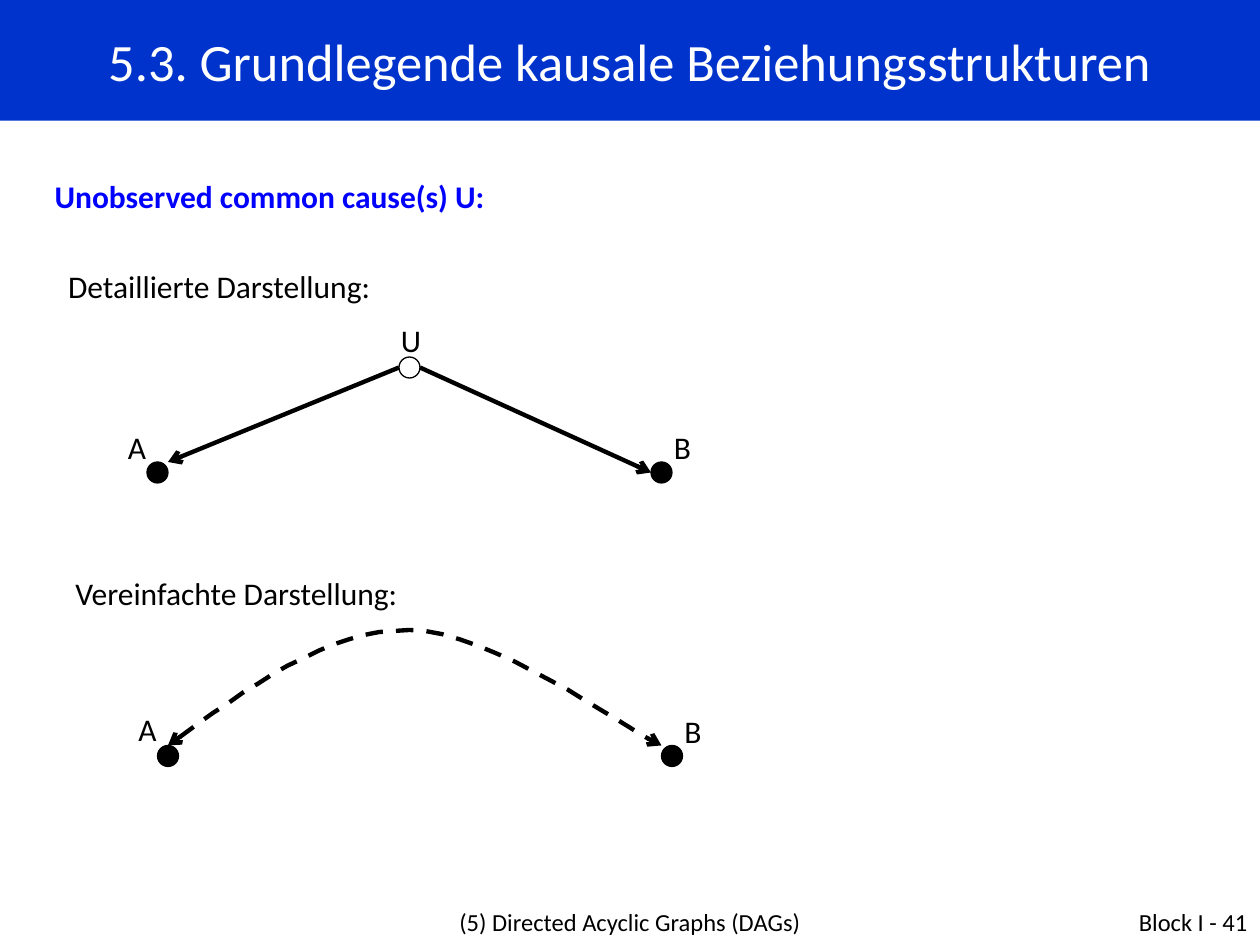
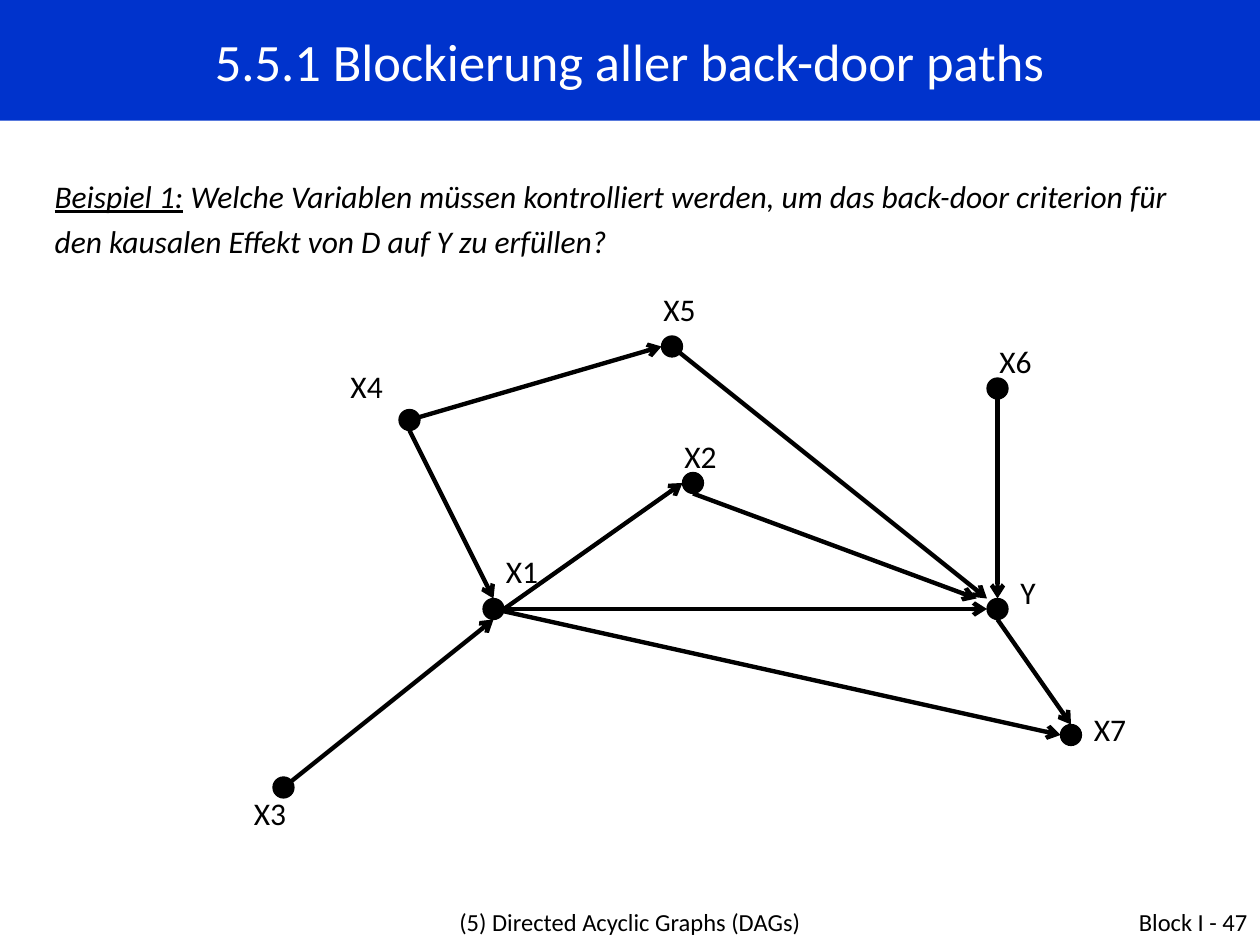
from lxml import etree
from pptx import Presentation
from pptx.dml.color import RGBColor
from pptx.enum.dml import MSO_LINE
from pptx.enum.shapes import MSO_CONNECTOR, MSO_SHAPE
from pptx.enum.text import MSO_ANCHOR, MSO_AUTO_SIZE, PP_ALIGN
from pptx.oxml.ns import qn
from pptx.util import Pt

PX = 7620
WIDTH, HEIGHT = 1200, 900
BAND_HEIGHT = 115
RADIUS = 10
CURVE_STEPS = 16

FONT = "Calibri"
BLACK, WHITE, BAND_BLUE, LEAD_BLUE = "000000", "FFFFFF", "0033CC", "0000FF"
TITLE_SIZE, BODY_SIZE, FOOTER_SIZE = 30, 18, 14
COURSE = "(5) Directed Acyclic Graphs (DAGs)"

LEFT, CENTER, RIGHT = PP_ALIGN.LEFT, PP_ALIGN.CENTER, PP_ALIGN.RIGHT
TOP, MIDDLE = MSO_ANCHOR.TOP, MSO_ANCHOR.MIDDLE
NO_AUTOSIZE = MSO_AUTO_SIZE.NONE
STRAIGHT, OVAL, DASH = MSO_CONNECTOR.STRAIGHT, MSO_SHAPE.OVAL, MSO_LINE.DASH


def color(value):
    return RGBColor.from_string(value)


def px(*lengths):
    return [length * PX for length in lengths]


def place(shape, left, top, width, height):
    shape.left, shape.top, shape.width, shape.height = px(left, top, width, height)


def write(shape, spans, size, align=LEFT, anchor=TOP):
    frame = shape.text_frame
    frame.word_wrap = True
    frame.auto_size = NO_AUTOSIZE
    frame.vertical_anchor = anchor
    para = frame.paragraphs[0]
    para.alignment = align
    para.space_before = Pt(0)
    for text, style in spans:
        span = para.add_run()
        span.text = text
        font = span.font
        font.name = FONT
        font.size = Pt(size)
        font.color.rgb = color(style.get("color", BLACK))
        font.bold = style.get("bold", False)
        font.italic = style.get("italic", False)
        font.underline = style.get("underline", False)
    return para


def add_text(page, text, left, top, width, height, size=BODY_SIZE, align=LEFT):
    box = page.shapes.add_textbox(*px(left, top, width, height))
    write(box, [(text, {})], size, align)


def add_label(page, text, left, top):
    add_text(page, text, left, top, 60, 48)


def add_node(page, x, y, observed=True):
    node = page.shapes.add_shape(OVAL, *px(x - RADIUS, y - RADIUS, 2 * RADIUS, 2 * RADIUS))
    node.shadow.inherit = False
    if observed:
        node.fill.solid()
        node.fill.fore_color.rgb = color(BLACK)
    else:
        node.fill.background()
    node.line.color.rgb = color(BLACK)
    node.line.width = Pt(0.75)


def style_arrow(shape, *ends):
    shape.line.color.rgb = color(BLACK)
    shape.line.width = Pt(2.5)
    for end in ends:
        etree.SubElement(shape.line._get_or_add_ln(), qn(f"a:{end}"), type="arrow")


def add_arrow(page, start, end):
    arrow = page.shapes.add_connector(STRAIGHT, *px(*start, *end))
    style_arrow(arrow, "tailEnd")
    etree.SubElement(arrow._element.spPr, qn("a:effectLst"))


def bezier_point(controls, t):
    weights = ((1 - t) ** 3, 3 * t * (1 - t) ** 2, 3 * t ** 2 * (1 - t), t ** 3)
    return tuple(sum(w * point[axis] for w, point in zip(weights, controls)) for axis in (0, 1))


def add_dashed_arc(page, *segments):
    builder = page.shapes.build_freeform(*segments[0][0], scale=PX)
    points = [bezier_point(controls, step / CURVE_STEPS)
              for controls in segments for step in range(1, CURVE_STEPS + 1)]
    builder.add_line_segments(points, close=False)
    arc = builder.convert_to_shape()
    arc.shadow.inherit = False
    arc.fill.background()
    arc.line.dash_style = DASH
    style_arrow(arc, "headEnd", "tailEnd")


def add_page(deck, title, lead, lead_height, number):
    page = deck.slides.add_slide(deck.slide_layouts[1])
    band, body = page.shapes.title, page.placeholders[1]
    place(band, 0, 0, WIDTH, BAND_HEIGHT)
    band.fill.solid()
    band.fill.fore_color.rgb = color(BAND_BLUE)
    write(band, [(title, {"color": WHITE})], TITLE_SIZE, CENTER, MIDDLE)

    place(body, 40, 155, 1130, lead_height)
    para = write(body, lead, BODY_SIZE)
    para.line_spacing = 1.2
    properties = para._p.get_or_add_pPr()
    properties.set("marL", "0")
    properties.set("indent", "0")
    etree.SubElement(properties, qn("a:buNone"))

    add_text(page, COURSE, 290, 858, 620, 42, FOOTER_SIZE, CENTER)
    add_text(page, f"Block I - {number}", 920, 858, 280, 42, FOOTER_SIZE, RIGHT)
    return page


def add_common_cause(deck):
    lead = [("Unobserved common cause(s) U:", {"color": LEAD_BLUE, "bold": True})]
    page = add_page(deck, "5.3. Grundlegende kausale Beziehungsstrukturen", lead, 55, 41)

    add_text(page, "Detaillierte Darstellung:", 53, 248, 350, 49)
    add_arrow(page, (380, 350), (160, 440))
    add_arrow(page, (400, 350), (620, 450))
    add_node(page, 390, 350, observed=False)
    add_label(page, "U", 370, 300)

    add_text(page, "Vereinfachte Darstellung:", 60, 541, 350, 49)
    add_dashed_arc(page,
                   [(160, 710), (236, 655), (312, 600), (390, 600)],
                   [(390, 600), (468, 600), (590, 691), (630, 710)])

    for name, node, label in (
        ("A", (150, 450), (110, 402)),
        ("B", (630, 450), (630, 402)),
        ("A", (160, 720), (120, 670)),
        ("B", (640, 720), (640, 672)),
    ):
        add_node(page, *node)
        add_label(page, name, *label)


def add_back_door_paths(deck):
    lead = [
        ("Beispiel 1:", {"italic": True, "underline": True}),
        (" Welche Variablen müssen kontrolliert werden, um das back-door criterion für "
         "den kausalen Effekt von D auf Y zu erfüllen?", {"italic": True}),
    ]
    page = add_page(deck, "5.5.1 Blockierung aller back-door paths", lead, 100, 47)

    variables = {
        "X1": ((470, 580), (470, 520)),
        "X2": ((660, 460), (640, 410)),
        "X3": ((270, 750), (230, 750)),
        "X4": ((390, 400), (322, 344)),
        "X5": ((640, 330), (620, 270)),
        "X6": ((950, 370), (940, 320)),
        "X7": ((1020, 700), (1030, 670)),
        "Y": ((950, 580), (960, 540)),
    }
    center, above, below = (0, 0), (0, -RADIUS), (0, RADIUS)
    left, right = (-RADIUS, 0), (RADIUS, 0)
    effects = (
        ("X3", center, "X1", below),
        ("X6", center, "Y", above),
        ("Y", below, "X7", above),
        ("X1", right, "Y", left),
        ("X1", center, "X7", left),
        ("X5", center, "Y", (-RADIUS, -RADIUS)),
        ("X4", below, "X1", above),
        ("X1", right, "X2", left),
        ("X2", below, "Y", (-2 * RADIUS, -RADIUS)),
        ("X4", center, "X5", left),
    )

    def anchor(name, offset):
        x, y = variables[name][0]
        return x + offset[0], y + offset[1]

    for cause, start, outcome, end in effects:
        add_arrow(page, anchor(cause, start), anchor(outcome, end))
    for name, (node, label) in variables.items():
        add_node(page, *node)
        add_label(page, name, *label)


def main():
    deck = Presentation()
    deck.slide_width, deck.slide_height = px(WIDTH, HEIGHT)
    add_common_cause(deck)
    add_back_door_paths(deck)
    deck.save("out.pptx")


if __name__ == "__main__":
    main()
